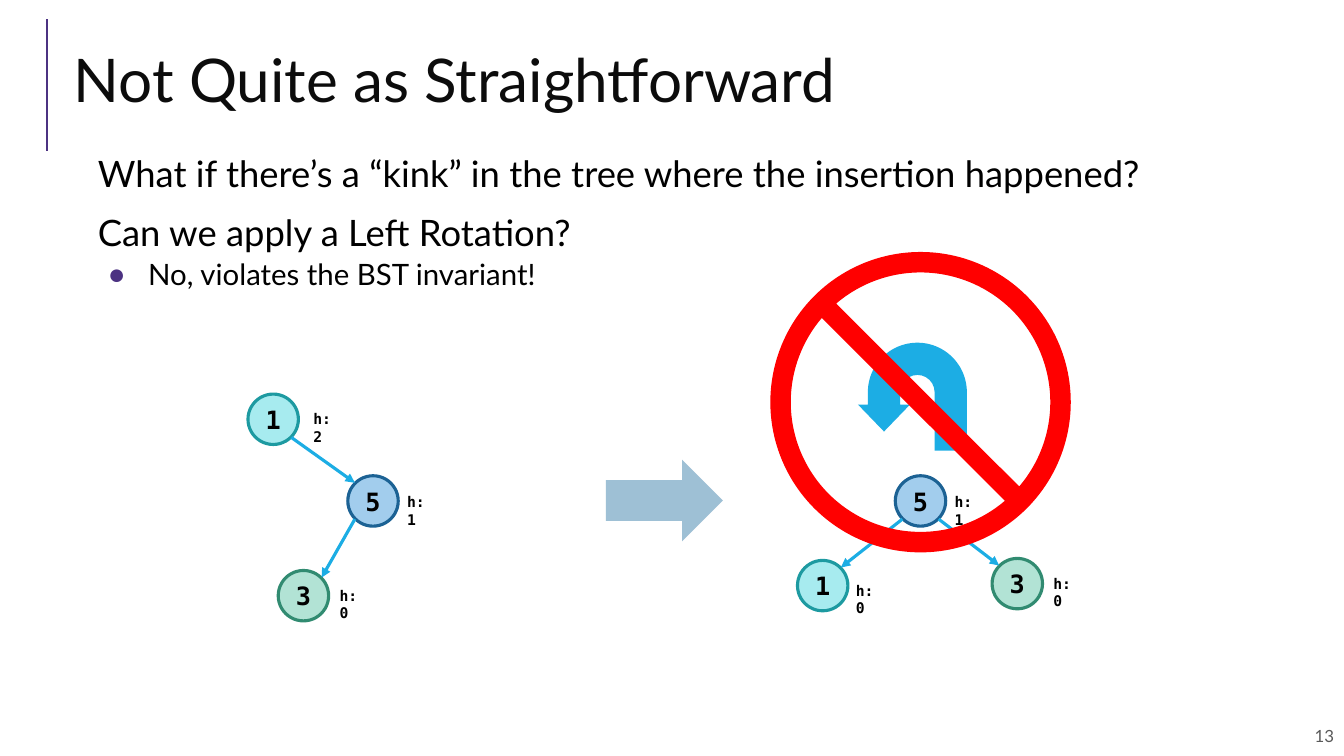
import pptx
import pptx.util
import pptx.dml.color
import pptx.enum.shapes
import pptx.enum.text
import pptx.oxml
import pptx.oxml.ns

PX = 9144  # one px is a hundredth of an inch
SLIDE_WIDTH, SLIDE_HEIGHT = 1333, 750
TEXT_FONT, NODE_FONT = "Lato", "DejaVu Sans Mono"
NODE_SIZE, NODE_INSET = 50, 7  # diameter, and corner inset of its diagonal points

COLORS = {
    "accent": "4C3282",
    "title": "0C0C0C",
    "text": "000000",
    "number": "595959",
    "edge": "1CADE4",
    "result": "9EC0D5",
    "forbidden": "FF0000",
}
# Fill and outline of each tree node, by its value
NODE_COLORS = {
    "1": ("A7EBEF", "1D9AA1"),
    "5": ("A2CDED", "1C6294"),
    "3": ("B2E3D5", "318B71"),
}
SHAPES = pptx.enum.shapes.MSO_SHAPE
ALIGN = pptx.enum.text.PP_ALIGN
ANCHOR = pptx.enum.text.MSO_ANCHOR


def px(*lengths):
    return [pptx.util.Emu(length * PX) for length in lengths]


def rgb(value):
    return pptx.dml.color.RGBColor.from_string(value)


def add_xml(parent, tag, **attributes):
    element = pptx.oxml.ns.qn(tag)
    child = parent.makeelement(element, attributes)
    parent.append(child)
    return child


def prepare_frame(shape, anchor=ANCHOR.TOP, insets=(10, 5)):
    frame = shape.text_frame
    frame.word_wrap = True
    frame.auto_size = pptx.enum.text.MSO_AUTO_SIZE.NONE
    frame.vertical_anchor = anchor
    frame.margin_left = frame.margin_right = px(insets[0])[0]
    frame.margin_top = frame.margin_bottom = px(insets[1])[0]
    return frame


def write_text(paragraph, text, size, color="text", font=TEXT_FONT, bold=False,
               align=ALIGN.LEFT, line_spacing=1.0, before=0, bullet=None):
    paragraph.alignment = align
    paragraph.line_spacing = line_spacing
    paragraph.space_before = pptx.util.Pt(before)
    paragraph.space_after = pptx.util.Pt(0)
    properties = paragraph._p.get_or_add_pPr()
    properties.set("marL", str(50 * PX if bullet else 0))
    properties.set("indent", str(-40 * PX if bullet else 0))
    if bullet:
        bullet_color = add_xml(properties, "a:buClr")
        add_xml(bullet_color, "a:srgbClr", val=COLORS["accent"])
        add_xml(properties, "a:buChar", char=bullet)
    else:
        add_xml(properties, "a:buNone")
    run = paragraph.add_run()
    run.text = text
    run.font.name = font
    run.font.size = pptx.util.Pt(size)
    run.font.bold = bold
    run.font.color.rgb = rgb(COLORS[color])


def add_figure(slide, kind, box, fill, outline=None, adjustments=()):
    shape = slide.shapes.add_shape(kind, *px(*box))
    shape.shadow.inherit = False
    shape.fill.solid()
    shape.fill.fore_color.rgb = rgb(fill)
    if outline:
        shape.line.color.rgb = rgb(outline)
        shape.line.width = pptx.util.Pt(2.25)
    else:
        shape.line.fill.background()
    for index, value in enumerate(adjustments):
        shape.adjustments[index] = value
    return shape


def add_line(slide, start, end, color, width, arrow=False):
    straight = pptx.enum.shapes.MSO_CONNECTOR.STRAIGHT
    connector = slide.shapes.add_connector(straight, *px(*start, *end))
    connector.line.color.rgb = rgb(COLORS[color])
    connector.line.width = pptx.util.Pt(width)
    if arrow:
        add_xml(connector.line._get_or_add_ln(), "a:tailEnd", type="triangle")
    add_xml(connector._element.spPr, "a:effectLst")


def add_header(slide, box, title):
    left, top, width, height = box
    add_line(slide, (left - 16, top - 10), (left - 16, top + height + 10), "accent", 1.5)
    shape = slide.shapes.title
    shape.left, shape.top, shape.width, shape.height = px(*box)
    frame = prepare_frame(shape, anchor=ANCHOR.MIDDLE)
    write_text(frame.paragraphs[0], title, 43, color="title", line_spacing=0.8)


def add_body(slide, box, items):
    shape = slide.placeholders[1]
    shape.left, shape.top, shape.width, shape.height = px(*box)
    frame = prepare_frame(shape, insets=(5, 5))
    for index, (text, style) in enumerate(items):
        paragraph = frame.add_paragraph() if index else frame.paragraphs[0]
        write_text(paragraph, text, line_spacing=0.9, **style)


def add_page_number(slide, box, number):
    frame = prepare_frame(slide.shapes.add_textbox(*px(*box)), anchor=ANCHOR.MIDDLE)
    write_text(frame.paragraphs[0], number, 12, color="number", align=ALIGN.RIGHT)


def add_tree(slide, origin, nodes, edges):
    """Nodes map a value to its offset, its height and the offset of the height label."""
    places = {}
    for value, (offset, height, label_offset) in nodes.items():
        left, top = origin[0] + offset[0], origin[1] + offset[1]
        places[value] = left, top
        circle = add_figure(slide, SHAPES.OVAL, (left, top, NODE_SIZE, NODE_SIZE),
                            *NODE_COLORS[value])
        frame = prepare_frame(circle, anchor=ANCHOR.MIDDLE, insets=(0, 0))
        write_text(frame.paragraphs[0], value, 18, font=NODE_FONT, bold=True,
                   align=ALIGN.CENTER)
        label_box = (left + label_offset[0], top + label_offset[1], 44, 28)
        label = prepare_frame(slide.shapes.add_textbox(*px(*label_box)))
        write_text(label.paragraphs[0], f"h:{height}", 10.5, font=NODE_FONT, bold=True)
    # Edges leave a parent's lower corner and reach the child's facing upper corner
    near, far = NODE_INSET, NODE_SIZE - NODE_INSET
    for parent, child in edges:
        (x1, y1), (x2, y2) = places[parent], places[child]
        out, into = (far, near) if x2 > x1 else (near, far)
        add_line(slide, (x1 + out, y1 + far), (x2 + into, y2 + near), "edge", 2.25, arrow=True)


def add_forbidden_rotation(slide, box):
    left, top, width, height = box
    rotation = add_figure(slide, SHAPES.U_TURN_ARROW, (left + 87, top + 90, 108, 107),
                          COLORS["edge"], adjustments=(0.299, 0.241, 0.25, 0.481, 0.824))
    rotation._element.spPr.xfrm.set("flipH", "1")
    add_figure(slide, SHAPES.NO_SYMBOL, box, COLORS["forbidden"], adjustments=(0.068,))


def build_rotation_slide(presentation):
    slide = presentation.slides.add_slide(presentation.slide_layouts[1])
    add_header(slide, (63, 29, 1223, 111), "Not Quite as Straightforward")
    add_body(slide, (92, 150, 1150, 159), [
        ("What if there’s a “kink” in the tree where the insertion happened?", {"size": 26}),
        ("Can we apply a Left Rotation?", {"size": 26, "before": 14}),
        ("No, violates the BST invariant!", {"size": 21, "before": 4, "bullet": "●"}),
    ])
    add_page_number(slide, (865, 710, 468, 40), "13")

    # Tree with the kink
    add_tree(slide, (246, 391), {
        "1": ((0, 0), 2, (55, 11)),
        "5": ((99, 81), 1, (49, 12)),
        "3": ((30, 175), 0, (51, 11)),
    }, [("1", "5"), ("5", "3")])

    # Tree after the rotation
    add_tree(slide, (791, 472), {
        "1": ((0, 84), 0, (48, 16)),
        "5": ((97, 0), 1, (49, 12)),
        "3": ((193, 82), 0, (51, 11)),
    }, [("5", "1"), ("5", "3")])

    # Step arrow and crossed-out rotation
    add_figure(slide, SHAPES.RIGHT_ARROW, (601, 456, 116, 81), COLORS["result"],
               adjustments=(0.5, 0.5))
    add_forbidden_rotation(slide, (764, 250, 298, 298))


def main():
    presentation = pptx.Presentation()
    presentation.slide_width, presentation.slide_height = px(SLIDE_WIDTH, SLIDE_HEIGHT)
    build_rotation_slide(presentation)
    presentation.save("out.pptx")


if __name__ == "__main__":
    main()
